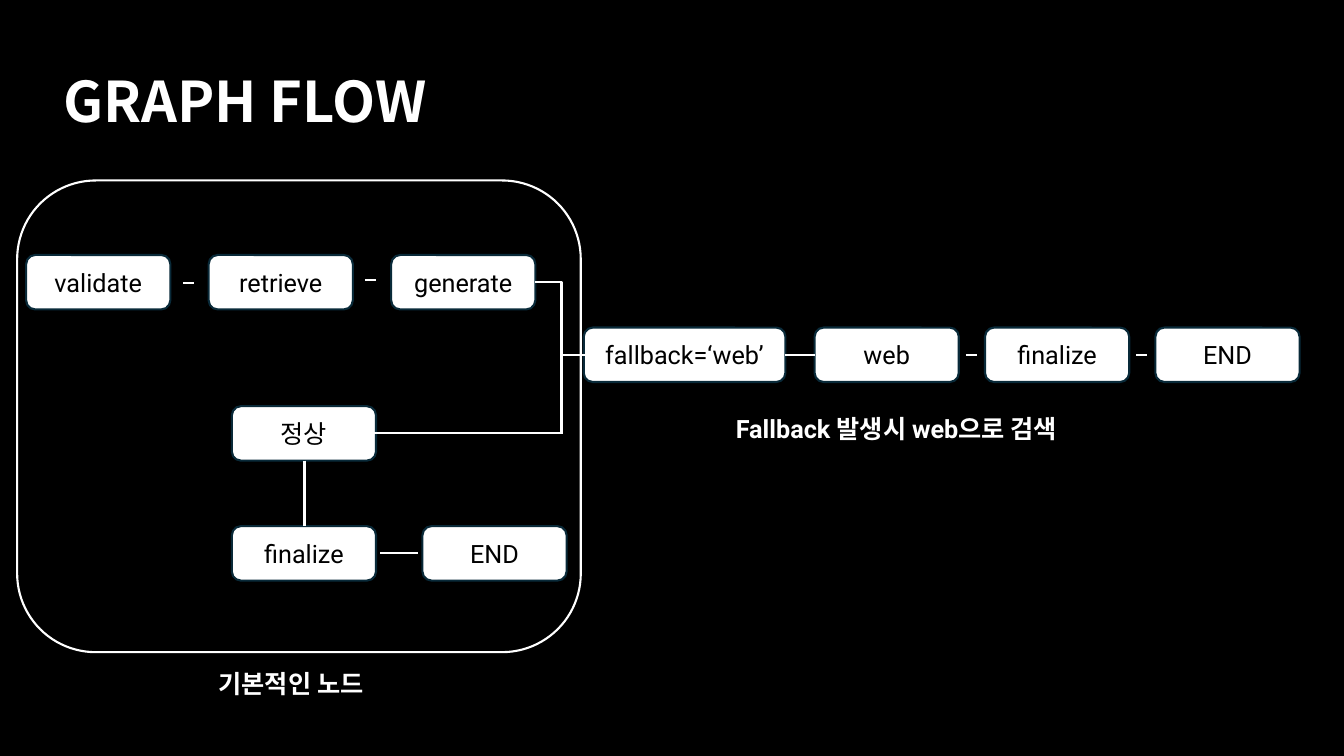
from pptx import Presentation
from pptx.dml.color import RGBColor
from pptx.enum.shapes import MSO_CONNECTOR, MSO_SHAPE
from pptx.enum.text import MSO_ANCHOR, MSO_AUTO_SIZE, PP_ALIGN
from pptx.oxml.ns import qn
from pptx.util import Emu, Pt
from lxml.etree import SubElement

BLACK = RGBColor(0x00, 0x00, 0x00)
WHITE = RGBColor(0xFF, 0xFF, 0xFF)
NAVY = RGBColor(0x09, 0x2A, 0x39)
EMU_PER_PX = 9144
NODE_WIDTH, NODE_HEIGHT = 143, 54


class FlowSlide:
    """Draws flow chart elements on one slide, with lengths in px of 1/100 inch."""

    body_font = "Roboto"
    title_font = "Noto Sans CJK KR"
    line_width = Pt(1.5)

    def __init__(self, presentation):
        self.slide = presentation.slides.add_slide(presentation.slide_layouts[6])
        background = self.slide.background.fill
        background.solid()
        background.fore_color.rgb = BLACK

    def px(self, *lengths):
        return [Emu(length * EMU_PER_PX) for length in lengths]

    def set_text(self, frame, text, color, size=18, bold=False, font=body_font):
        frame.word_wrap = True
        paragraph = frame.paragraphs[0]
        paragraph.text = text
        paragraph.font.name = font
        paragraph.font.size = Pt(size)
        paragraph.font.bold = bold
        paragraph.font.color.rgb = color
        return paragraph

    def rounded_box(self, left, top, width, height, line_color):
        shape = self.slide.shapes.add_shape(
            MSO_SHAPE.ROUNDED_RECTANGLE, *self.px(left, top, width, height))
        shape.shadow.inherit = False
        shape.fill.background()
        shape.line.color.rgb = line_color
        shape.line.width = self.line_width
        return shape

    def node(self, text, left, top, width=NODE_WIDTH):
        shape = self.rounded_box(left, top, width, NODE_HEIGHT, NAVY)
        shape.fill.solid()
        shape.fill.fore_color.rgb = WHITE
        shape.text_frame.vertical_anchor = MSO_ANCHOR.MIDDLE
        self.set_text(shape.text_frame, text, BLACK).alignment = PP_ALIGN.CENTER

    def node_row(self, texts, left, top, step):
        for index, text in enumerate(texts):
            self.node(text, left + index * step, top)

    def link(self, *ends, kind=MSO_CONNECTOR.STRAIGHT):
        connector = self.slide.shapes.add_connector(kind, *self.px(*ends))
        connector.line.color.rgb = WHITE
        connector.line.width = self.line_width
        SubElement(connector._element.spPr, qn("a:effectLst"))
        return connector

    def corner_link(self, *ends):
        connector = self.link(*ends, kind=MSO_CONNECTOR.ELBOW)
        geometry = connector._element.spPr.find(qn("a:prstGeom"))
        geometry.set("prst", "bentConnector2")

    def label(self, text, left, top, width, height, **style):
        box = self.slide.shapes.add_textbox(*self.px(left, top, width, height))
        box.text_frame.auto_size = MSO_AUTO_SIZE.SHAPE_TO_FIT_TEXT
        self.set_text(box.text_frame, text, WHITE, bold=True, **style)


def main():
    presentation = Presentation()
    presentation.slide_width = Emu(1333 * EMU_PER_PX)
    presentation.slide_height = Emu(750 * EMU_PER_PX)
    flow = FlowSlide(presentation)

    flow.node_row(["validate", "retrieve", "generate"], 26, 253, 181)
    flow.node_row(["finalize", "END"], 230, 522, 189)
    flow.node("fallback=‘web’", 579, 325, 200)
    flow.node_row(["web", "finalize", "END"], 808, 325, 169)
    flow.node("정상", 230, 403)

    flow.corner_link(531, 280, 557, 430)
    for ends in [
        (370, 430, 558, 430),
        (302, 457, 302, 522),
        (377, 549, 415, 549),
        (558, 352, 583, 352),
        (779, 352, 808, 352),
        (958, 352, 969, 352),
        (1127, 352, 1138, 352),
        (362, 278, 373, 278),
        (182, 281, 192, 281),
    ]:
        flow.link(*ends)

    flow.label("GRAPH FLOW", 53, 61, 830, 77, size=40, font=flow.title_font)
    flow.rounded_box(17, 179, 559, 468, WHITE)
    flow.label("기본적인 노드", 207, 658, 343, 40)
    flow.label("Fallback 발생시 web으로 검색", 720, 405, 514, 40)

    presentation.save("out.pptx")


if __name__ == "__main__":
    main()
